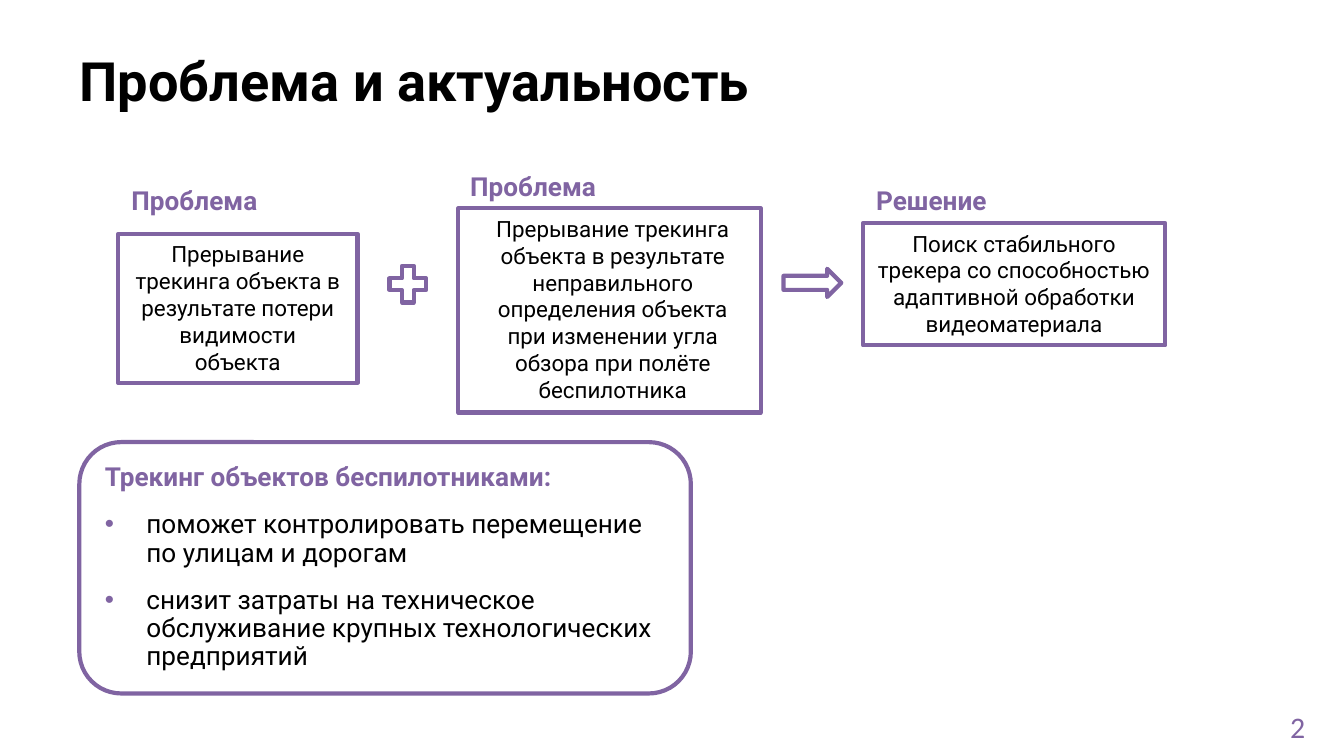
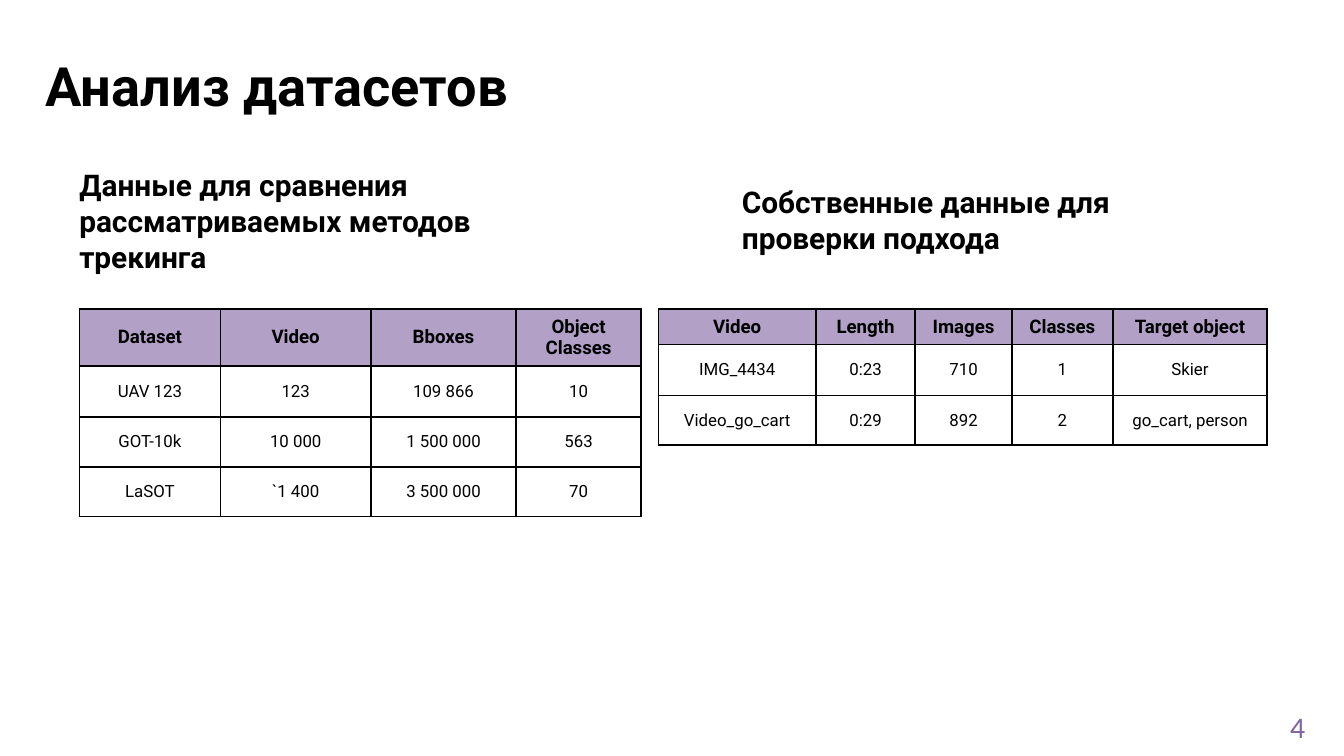
import pptx
import pptx.dml.color
import pptx.enum.shapes
import pptx.enum.text
import pptx.oxml
import pptx.oxml.ns
import pptx.util

Inches = pptx.util.Inches
Pt = pptx.util.Pt
SHAPES = pptx.enum.shapes.MSO_SHAPE
ALIGN = pptx.enum.text.PP_ALIGN
ANCHOR = pptx.enum.text.MSO_ANCHOR

# Shared look
PURPLE, LILAC, BLACK, WHITE = "8064A2", "B2A0C7", "000000", "FFFFFF"
TITLE = {"name": "Roboto", "size": 29, "bold": True, "color": BLACK}
HEADING = {**TITLE, "size": 16}
LABEL = {**TITLE, "size": 14, "color": PURPLE}
BODY = {**TITLE, "size": 12, "bold": False}
BULLET = {**BODY, "size": 14}
TABLE_HEAD = {**TITLE, "size": 10}
TABLE_BODY = {**BODY, "size": 9}
PAGE_NUMBER = {"name": "Calibri", "size": 16, "bold": False, "color": PURPLE}
PADDED = (0.1, 0.05, 0.1, 0.05)
TIGHT = (0, 0.01, 0, 0)

# Slide content: positions are left, top, width, height in inches
PROBLEM_SLIDE = {"title": "Проблема и актуальность", "at": (0.59, 0.34, 5.08, 0.5), "number": "2"}
PROBLEM_BOXES = [
    {"label": "Проблема", "label_at": (0.88, 1.32), "at": (0.88, 1.74, 1.78, 1.11),
     "side": 0.12, "indent": 0,
     "text": "Прерывание трекинга объекта в результате потери видимости объекта"},
    {"label": "Проблема", "label_at": (3.4, 1.22), "at": (3.41, 1.55, 2.25, 1.52),
     "side": 0.12, "indent": 0.05,
     "text": "Прерывание трекинга объекта в результате неправильного определения объекта "
             "при изменении угла обзора при полёте беспилотника"},
    {"label": "Решение", "label_at": (6.42, 1.32), "at": (6.42, 1.66, 2.25, 0.91),
     "side": 0.1, "indent": 0,
     "text": "Поиск стабильного трекера со способностью адаптивной обработки видеоматериала"},
]
SIGNS = [(SHAPES.MATH_PLUS, (2.85, 1.93, 0.37, 0.37)),
         (SHAPES.RIGHT_ARROW, (5.83, 2, 0.43, 0.21))]
BENEFITS_AT = (0.59, 3.29, 4.55, 1.87)
BENEFITS_TITLE = "Трекинг объектов беспилотниками:"
BENEFITS = ["поможет контролировать перемещение по улицам и дорогам",
            "снизит затраты на техническое обслуживание крупных технологических предприятий"]

DATASET_SLIDE = {"title": "Анализ датасетов", "at": (0.34, 0.38, 7.65, 0.5), "number": "4"}
DATASET_TABLES = [
    {"heading": "Данные для сравнения рассматриваемых методов трекинга",
     "heading_at": (0.59, 1.23, 3.89, 1.75), "left": 0.59,
     "columns": [1.05, 1.12, 1.08, 0.93], "row_heights": [0.23, 0.38, 0.37, 0.37],
     "rows": [["Dataset", "Video", "Bboxes", "Object Classes"],
              ["UAV 123", "123", "109 866", "10"],
              ["GOT-10k", "10 000", "1 500 000", "563"],
              ["LaSOT", "`1 400", "3 500 000", "70"]]},
    {"heading": "Собственные данные для проверки подхода",
     "heading_at": (5.52, 1.36, 2.85, 1.19), "left": 4.9,
     "columns": [1.17, 0.74, 0.72, 0.75, 1.15], "row_heights": [0.23, 0.38, 0.37],
     "rows": [["Video", "Length", "Images", "Classes", "Target object"],
              ["IMG_4434", "0:23", "710", "1", "Skier"],
              ["Video_go_cart", "0:29", "892", "2", "go_cart, person"]]},
]
TABLE_TOP = 2.3


def color(value):
    return pptx.dml.color.RGBColor.from_string(value)


def box(at):
    return [Inches(value) for value in at]


def format_paragraph(paragraph, text, style, **settings):
    paragraph.text = text
    for name, value in settings.items():
        setattr(paragraph, name, value)
    font = paragraph.font
    for name in ("name", "bold"):
        setattr(font, name, style[name])
    font.size = Pt(style["size"])
    font.color.rgb = color(style["color"])


def set_frame(frame, insets, anchor=ANCHOR.TOP):
    frame.word_wrap = True
    frame.auto_size = pptx.enum.text.MSO_AUTO_SIZE.NONE
    frame.vertical_anchor = anchor
    for side, value in zip(("left", "top", "right", "bottom"), insets):
        setattr(frame, f"margin_{side}", Inches(value))


def set_indent(paragraph, margin, hanging=0):
    properties = paragraph._p.get_or_add_pPr()
    properties.set("marL", str(Inches(margin)))
    properties.set("indent", str(-Inches(hanging)))
    return properties


def add_text(slide, at, text, style, insets, **settings):
    text_box = slide.shapes.add_textbox(*box(at))
    set_frame(text_box.text_frame, insets)
    format_paragraph(text_box.text_frame.paragraphs[0], text, style, **settings)


def add_outlined(slide, kind, at, fill=WHITE):
    shape = slide.shapes.add_shape(kind, *box(at))
    shape.shadow.inherit = False
    if fill:
        shape.fill.solid()
        shape.fill.fore_color.rgb = color(fill)
    else:
        shape.fill.background()
    shape.line.color.rgb = color(PURPLE)
    shape.line.width = Pt(2.25)
    return shape


def add_slide(presentation, content):
    slide = presentation.slides.add_slide(presentation.slide_layouts[5])
    title = slide.shapes.title
    title.left, title.top, title.width, title.height = box(content["at"])
    set_frame(title.text_frame, TIGHT)
    format_paragraph(title.text_frame.paragraphs[0], content["title"], TITLE, alignment=ALIGN.LEFT)
    add_text(slide, (9.56, 5.27, 0.31, 0.23), content["number"], PAGE_NUMBER,
             (0.04, 0, 0, 0), line_spacing=1.01)
    return slide


def add_bullet(paragraph):
    properties = set_indent(paragraph, 0.31, 0.31)
    namespace = pptx.oxml.ns.nsdecls("a")
    for element in (f'<a:buClr {namespace}><a:srgbClr val="{PURPLE}"/></a:buClr>',
                    f'<a:buFont {namespace} typeface="Arial"/>',
                    f'<a:buChar {namespace} char="•"/>'):
        properties.append(pptx.oxml.parse_xml(element))


def add_borders(cell):
    properties = cell._tc.get_or_add_tcPr()
    for position, side in enumerate(("lnL", "lnR", "lnT", "lnB")):
        properties.insert(position, pptx.oxml.parse_xml(
            f'<a:{side} {pptx.oxml.ns.nsdecls("a")} w="{Pt(1)}">'
            f'<a:solidFill><a:srgbClr val="{BLACK}"/></a:solidFill></a:{side}>'))


def add_dataset_table(slide, content):
    rows, columns, heights = content["rows"], content["columns"], content["row_heights"]
    table = slide.shapes.add_table(
        len(rows), len(columns),
        *box((content["left"], TABLE_TOP, sum(columns), sum(heights)))).table
    for column, width in zip(table.columns, columns):
        column.width = Inches(width)
    for row, height in zip(table.rows, heights):
        row.height = Inches(height)
    for row_index, row in enumerate(rows):
        for column_index, text in enumerate(row):
            cell = table.cell(row_index, column_index)
            cell.vertical_anchor = ANCHOR.MIDDLE
            cell.fill.solid()
            cell.fill.fore_color.rgb = color(WHITE if row_index else LILAC)
            style = TABLE_BODY if row_index else TABLE_HEAD
            format_paragraph(cell.text_frame.paragraphs[0], text, style, alignment=ALIGN.CENTER)
            add_borders(cell)


def build_problem_slide(presentation):
    slide = add_slide(presentation, PROBLEM_SLIDE)
    # Problems and solution
    for item in PROBLEM_BOXES:
        add_text(slide, (*item["label_at"], 1.23, 0.34), item["label"], LABEL, PADDED)
        frame = add_outlined(slide, SHAPES.RECTANGLE, item["at"], fill=None).text_frame
        set_frame(frame, (item["side"], 0.05) * 2)
        set_indent(frame.paragraphs[0], item["indent"])
        format_paragraph(frame.paragraphs[0], item["text"], BODY, alignment=ALIGN.CENTER)
    for kind, at in SIGNS:
        add_outlined(slide, kind, at)
    # Benefits panel
    frame = add_outlined(slide, SHAPES.ROUNDED_RECTANGLE, BENEFITS_AT).text_frame
    set_frame(frame, PADDED, ANCHOR.MIDDLE)
    spacing = {"alignment": ALIGN.LEFT, "line_spacing": 0.9}
    format_paragraph(frame.paragraphs[0], BENEFITS_TITLE, LABEL, **spacing)
    for text in BENEFITS:
        paragraph = frame.add_paragraph()
        add_bullet(paragraph)
        format_paragraph(paragraph, text, BULLET, space_before=Pt(10), **spacing)


def build_dataset_slide(presentation):
    slide = add_slide(presentation, DATASET_SLIDE)
    for content in DATASET_TABLES:
        add_text(slide, content["heading_at"], content["heading"], HEADING, TIGHT)
        add_dataset_table(slide, content)


def main():
    presentation = pptx.Presentation()
    # Widescreen, 16 to 9
    presentation.slide_width = Inches(10)
    presentation.slide_height = Inches(10 * 9 / 16)
    build_problem_slide(presentation)
    build_dataset_slide(presentation)
    presentation.save("out.pptx")


if __name__ == "__main__":
    main()
